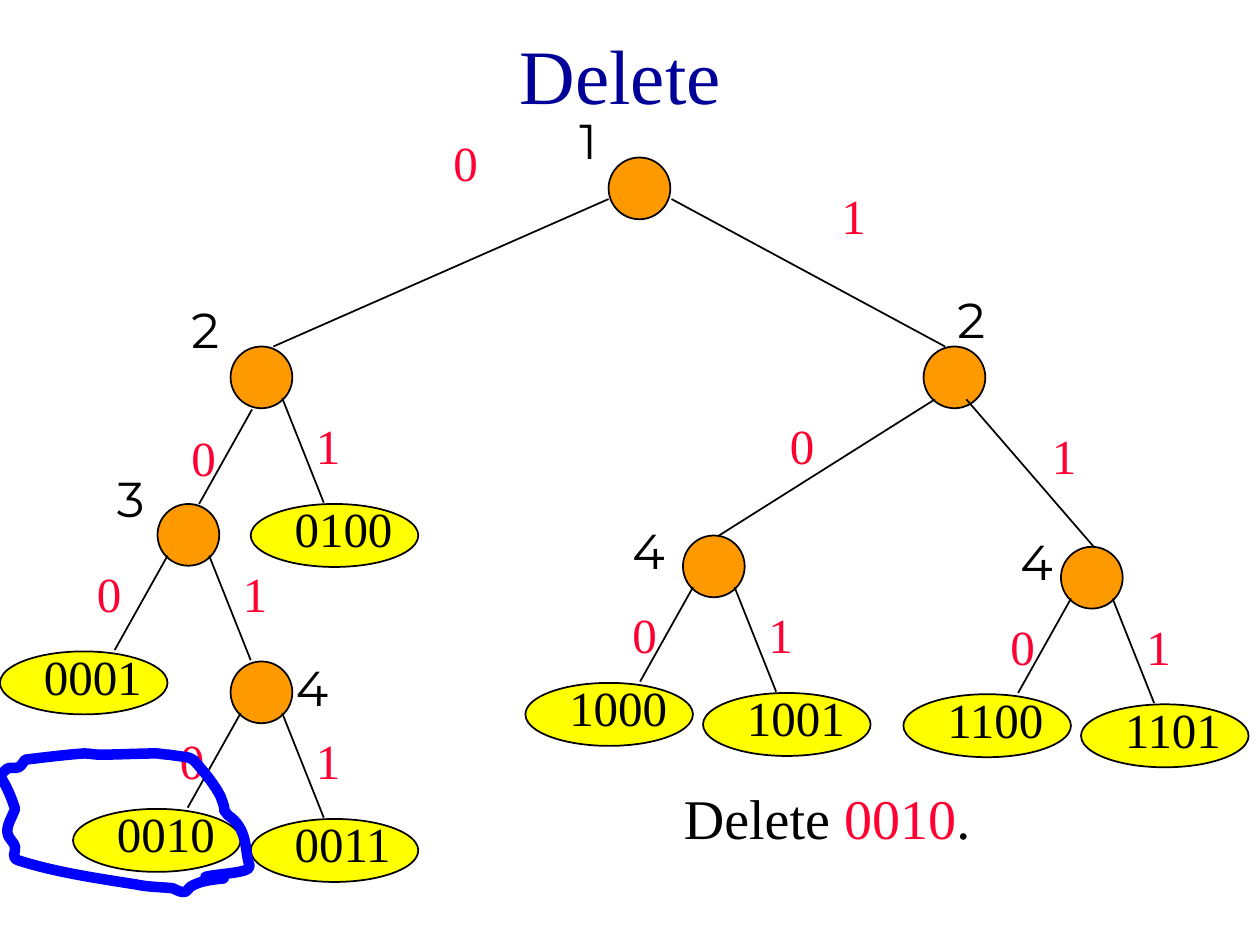
from pptx import Presentation
from pptx.dml.color import RGBColor
from pptx.enum.shapes import MSO_CONNECTOR, MSO_SHAPE
from pptx.enum.text import MSO_ANCHOR, MSO_AUTO_SIZE, PP_ALIGN
from pptx.oxml.ns import qn
from pptx.util import Inches, Pt
from lxml import etree

LINE, OVAL = MSO_CONNECTOR.STRAIGHT, MSO_SHAPE.OVAL
CENTER, MIDDLE, FIXED = PP_ALIGN.CENTER, MSO_ANCHOR.MIDDLE, MSO_AUTO_SIZE.NONE
SERIF, SANS = "Times New Roman", "Montserrat"
HEX = {"title": "000099", "node": "FF9900", "leaf": "FFFF00", "bit": "FF0033",
       "ink": "000000", "paper": "FFFFFF", "mark": "0000FF"}
NODE, LEAF = (0.49, 0.49), (1.33, 0.5)

# Offsets from a node's corner for its 0 branch and its 1 branch
BRANCH = {
    "0": {"edge": (0.08, 0.41, -0.34, 1.16), "bit": (-0.5, 0.5), "leaf": (-1.25, 1.17)},
    "1": {"edge": (0.41, 0.41, 0.74, 1.24), "bit": (0.58, 0.5), "leaf": (0.16, 1.25)},
}

# Node corner, bit number and its corner, leaves by branch, special offsets
TREE = [
    {"at": (4.83, 1.25), "num": ("1", 4.5, 0.83), "leaves": {},
     "0": {"edge": (0, 0.33, -2.66, 1.5), "bit": (-1.33, -0.25)},
     "1": {"edge": (0.5, 0.33, 2.67, 1.5), "bit": (1.75, 0.17)}},
    {"at": (7.33, 2.75), "num": ("2", 7.5, 2.25), "leaves": {},
     "0": {"edge": (0.09, 0.42, -1.75, 1.58), "bit": (-1.16, 0.5)},
     "1": {"edge": (0.34, 0.42, 1.42, 1.67), "bit": (0.92, 0.58)}},
    {"at": (1.83, 2.75), "num": ("2", 1.42, 2.33), "leaves": {"1": "0100"},
     "0": {"edge": (0.17, 0.5, -0.25, 1.25), "bit": (-0.41, 0.59)}},
    {"at": (1.25, 4), "num": ("3", 0.83, 3.67), "leaves": {"0": "0001"},
     "0": {"bit": (-0.58, 0.42)}, "1": {"bit": (0.58, 0.42)}},
    {"at": (1.83, 5.25), "num": ("4", 2.25, 5.17), "leaves": {"0": "0010", "1": "0011"}},
    {"at": (5.42, 4.25), "num": ("4", 4.92, 4.08), "leaves": {"0": "1000", "1": "1001"}},
    {"at": (8.42, 4.34), "num": ("4", 8, 4.17), "leaves": {"0": "1100", "1": "1101"}},
]

# Hand-drawn loop: a start point, then three points for each curve
LOOP = [
    (1.63, 6.96),
    (1.75, 6.93), (2, 6.93), (1.98, 6.87), (1.94, 6.74), (1.97, 6.58), (1.81, 6.47),
    (1.74, 6.38), (1.82, 6.5), (1.75, 6.32), (1.71, 6.24), (1.64, 6.15), (1.57, 6.07),
    (1.51, 6), (1.53, 6.02), (1.34, 5.99), (1.31, 5.99), (1.25, 5.98), (1.25, 5.98),
    (1.1, 5.98), (0.94, 5.99), (0.79, 5.99), (0.75, 5.99), (0.71, 5.98), (0.67, 5.98),
    (0.51, 5.99), (0.2, 6.03), (0.2, 6.03), (0.18, 6.05), (0.18, 6.07), (0.15, 6.09),
    (0.12, 6.1), (0.08, 6.09), (0.06, 6.1), (0.03, 6.12), (0.02, 6.14), (0, 6.16),
    (0.06, 6.25), (0.09, 6.33), (0.12, 6.42), (0.1, 6.48), (0.05, 6.55), (0.06, 6.61),
    (0.06, 6.65), (0.11, 6.68), (0.12, 6.72), (0.13, 6.76), (0.08, 6.81), (0.15, 6.83),
    (0.43, 6.92), (0.76, 6.97), (1.08, 7.02), (1.17, 7.04), (1.27, 7.04), (1.37, 7.05),
    (1.4, 7.06), (1.42, 7.08), (1.46, 7.08), (1.49, 7.08), (1.49, 7.05), (1.51, 7.04),
    (1.54, 7.02), (1.57, 7.01), (1.6, 7), (1.76, 6.96), (1.89, 6.98), (1.63, 6.96),
]


def color(name):
    return RGBColor.from_string(HEX[name])


def write(frame, runs, size=28, face=SERIF, align=None):
    """Fill a text frame with (text, colour name) runs."""
    frame.word_wrap = True
    para = frame.paragraphs[0]
    para.alignment = align
    for text, tint in runs:
        run = para.add_run()
        run.text = text
        run.font.size, run.font.name = Pt(size), face
        run.font.color.rgb = color(tint)


def label(text, x, y, wide, tint="ink", **form):
    box = slide.shapes.add_textbox(Inches(x), Inches(y), Inches(wide), Inches(0.57))
    write(box.text_frame, [(text, tint)], **form)


def oval(x, y, size, fill):
    shape = slide.shapes.add_shape(OVAL, Inches(x), Inches(y), *map(Inches, size))
    shape.shadow.inherit = False
    shape.fill.solid()
    shape.fill.fore_color.rgb = color(fill)
    shape.line.color.rgb = color("ink")
    shape.line.width = Pt(1)


def edge(*ends):
    line = slide.shapes.add_connector(LINE, *map(Inches, ends))
    line.line.color.rgb = color("ink")
    line.line.width = Pt(1)
    etree.SubElement(line._element.spPr, qn("a:effectLst"))


def bend(shape):
    """Turn each three straight steps of an outline into one cubic curve."""
    steps = list(shape._element.iter(qn("a:lnTo")))
    for i in range(0, len(steps), 3):
        curve = etree.Element(qn("a:cubicBezTo"))
        steps[i].addprevious(curve)
        for step in steps[i:i + 3]:
            curve.append(step[0])
            step.getparent().remove(step)


def draw_node(node):
    x, y = node["at"]
    oval(x, y, NODE, "node")
    for bit, rule in BRANCH.items():
        rule = {**rule, **node.get(bit, {})}
        x1, y1, x2, y2 = rule["edge"]
        edge(x + x1, y + y1, x + x2, y + y2)
        if bit in node["leaves"]:
            left, top = x + rule["leaf"][0], y + rule["leaf"][1]
            oval(left, top, LEAF, "leaf")
            label(node["leaves"][bit], left + 0.25, top - 0.09, 1.17)
        dx, dy = rule["bit"]
        label(bit, x + dx, y + dy, 0.5, tint="bit")
    num, left, top = node["num"]
    label(num, left, top, 0.67, face=SANS)


deck = Presentation()
deck.slide_width, deck.slide_height = Inches(10), Inches(7.5)
slide = deck.slides.add_slide(deck.slide_layouts[5])

title = slide.shapes.title
title.left, title.top = Inches(0.75), Inches(0.17)
title.width, title.height = Inches(8.5), Inches(0.83)
title.text_frame.auto_size = FIXED
title.text_frame.vertical_anchor = MIDDLE
write(title.text_frame, [("Delete ", "title")], size=44, align=CENTER)

for node in TREE:
    draw_node(node)

task = slide.shapes.add_textbox(Inches(5.33), Inches(6.17), Inches(3.17), Inches(0.64))
task.fill.solid()
task.fill.fore_color.rgb = color("paper")
write(task.text_frame, [("Delete", "ink"), (" 0010", "bit"), (".", "ink")], size=32)

spots = [(Inches(x), Inches(y)) for x, y in LOOP]
pen = slide.shapes.build_freeform(*spots[0])
pen.add_line_segments(spots[1:], close=False)
loop = pen.convert_to_shape()
bend(loop)
loop.shadow.inherit = False
loop.fill.background()
loop.line.color.rgb = color("mark")
loop.line.width = Pt(6)
etree.SubElement(loop.line._get_or_add_ln(), qn("a:round"))

deck.save("out.pptx")
